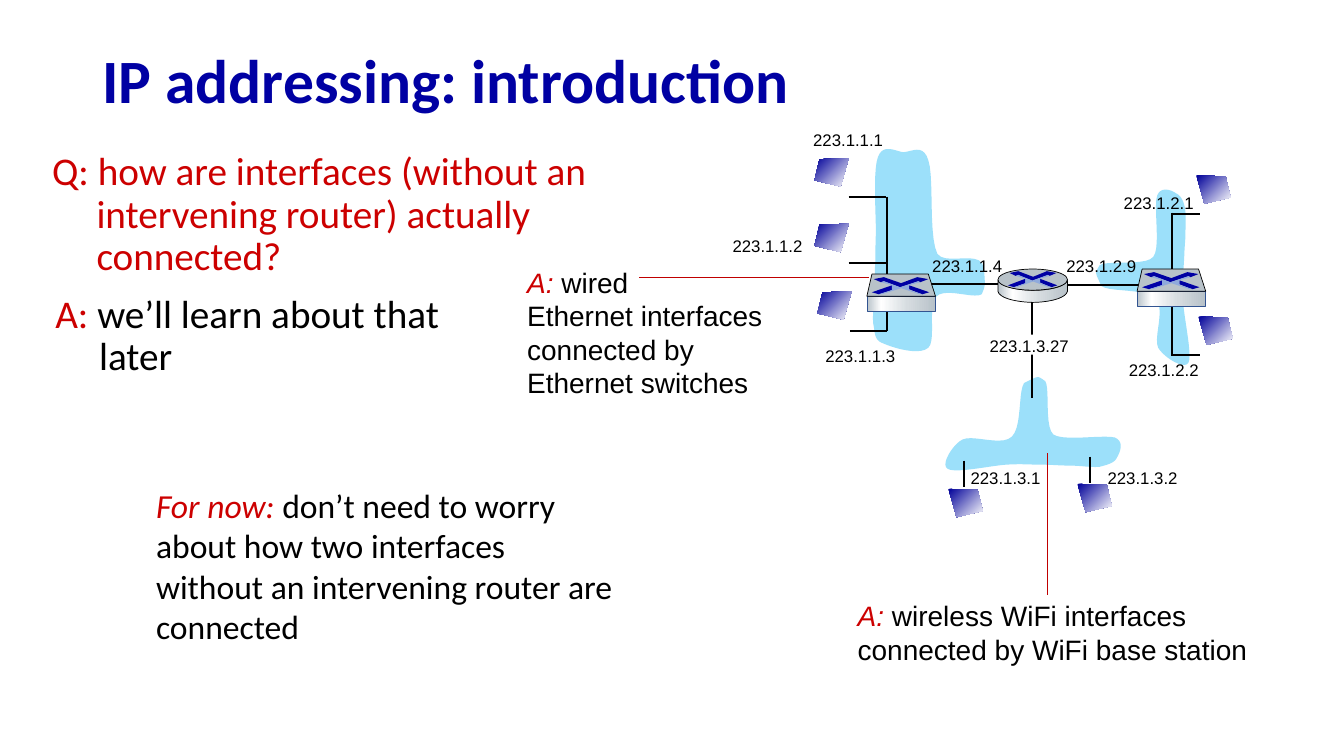
from dataclasses import dataclass
from typing import Any, Optional

import pptx
import pptx.dml.color
import pptx.enum.shapes
import pptx.enum.text
import pptx.oxml
import pptx.oxml.ns
import pptx.util

Pt = pptx.util.Pt
Shapes = pptx.enum.shapes.MSO_SHAPE
Point = tuple[float, float]

COLORS = {"title": "0000A3", "accent": "CC0000", "callout": "C00000", "ink": "000000",
          "paper": "FFFFFF", "cloud": "9CE0FA", "metal": "B8C2C9", "edge": "325491",
          "arrow": "0000A3", "left arrow": "0000A8", "inlay": "8FAADC"}
HOST_STOPS = [(0, "000099"), (100, "FFFFFF")]
METAL_STOPS = [(0, "B8C2C9"), (21, "FFFFFF"), (60, "D6DCE0"), (100, "B8C2C9")]


@dataclass
class Wire:
    start: Point
    end: Point
    color: str = "ink"
    width: float = 1.5


@dataclass
class Label:
    text: str
    left: float
    top: float
    width: float = 64.8
    plate: Optional[tuple[float, float, float, float]] = None


@dataclass
class Note:
    """A text box; each paragraph is a list of (text, color, italic) spans."""
    left: float
    top: float
    width: float
    height: float
    font: str
    size: float
    paragraphs: list[list[tuple[str, str, bool]]]
    hanging: float = 0


@dataclass
class Host:
    left: float
    top: float
    mirrored: bool = False


# Outlines: a start point, then lines (2 numbers) or cubic curves (6 numbers).
CLOUDS = [
    [(731.5, 273.6), (727.2, 280.1, 730.1, 304.6, 722.9, 311.8),
     (715.7, 319, 695.5, 310.3, 687.6, 313.9), (680.4, 317.5, 671.8, 331.9, 676.8, 334.8),
     (681.8, 338.4, 707.8, 332.6, 718.6, 331.9), (729.4, 331.2, 735.1, 331.9, 743, 331.9),
     (751, 331.9, 758.2, 332.6, 765.4, 332.6), (771.8, 332.6, 780.5, 334.1, 785.5, 333.4),
     (791.3, 331.9, 796.3, 330.5, 797.8, 326.9), (799.9, 323.3, 803.5, 315.4, 796.3, 312.5),
     (788.4, 310.3, 758.9, 315.4, 752.4, 310.3), (745.9, 304.6, 750.2, 277.2, 746.6, 272.2),
     (740.9, 268.6, 743, 267.8, 731.5, 273.6)],
    [(787, 204.5), (793.4, 208.8, 817.9, 205.9, 825.1, 213.1),
     (833, 220.3, 823.7, 240.5, 827.3, 248.4), (831.6, 255.6, 846, 264.2, 848.9, 259.2),
     (851.8, 254.2, 846, 228.2, 845.3, 217.4), (844.6, 206.6, 845.3, 200.9, 845.3, 193),
     (846, 185, 846, 177.8, 846.7, 170.6), (846.7, 163.4, 847.4, 155.5, 846.7, 150.5),
     (846, 144.7, 843.8, 139.7, 840.2, 138.2), (837.4, 136.1, 829.4, 132.5, 826.6, 139.7),
     (823.7, 147.6, 829.4, 177.1, 823.7, 183.6), (818.6, 190.1, 790.6, 185.8, 785.5, 189.4),
     (782.6, 195.1, 781.2, 193, 787, 204.5)],
    [(702.7, 191.5), (701.3, 177.8, 676.1, 190.1, 669.6, 181.4),
     (663.1, 168.5, 667.4, 126.7, 663.1, 114.5), (659.5, 102.2, 650.9, 108.7, 645.1, 108.7),
     (639.4, 108, 630.7, 102.2, 627.1, 112.3), (623.5, 121.7, 625.7, 153.4, 625.7, 166.3),
     (625, 179.3, 625.7, 182.9, 625, 190.8), (625, 198.7, 624.2, 205.9, 624.2, 213.1),
     (624.2, 220.3, 622.8, 228.2, 624.2, 233.3), (625, 239, 625, 243.4, 631.4, 245.5),
     (637.9, 248.4, 656.6, 254.2, 663.1, 248.4), (668.9, 243.4, 662.4, 218.2, 668.9, 211.7),
     (675.4, 205.2, 695.5, 213.8, 701.3, 210.2), (703.4, 204.5, 704.2, 205.2, 702.7, 191.5)],
]
ROUTER_SIDE = [(762.5, 200.2), (762.5, 208.1), (761, 213.8, 746.6, 216, 738, 216),
               (729.4, 216, 714.2, 213.8, 712.8, 208.1), (712.8, 200.2),
               (715, 205.2, 729.4, 207.4, 738, 207.4), (745.9, 207.4, 760.3, 205.9, 762.5, 200.2)]
HOST_OUTLINE = [(0, 0), (20.9, 0.7), (24.5, 15.8), (5.8, 20.2)]
LID_OUTLINE = [(0, 15.8), (3.6, 0), (43.9, 0), (49, 15.8)]
CROSS_PARTS = [
    ("arrow", [(32.4, 0), (40.3, 1.4), (34.6, 3.6), (33.1, 2.9), (20.2, 7.2), (8.6, 2.9),
               (6.5, 3.6), (1.4, 1.4), (8.6, 0), (20.9, 4.3)]),
    ("arrow", [(26.6, 5.8), (41, 10.8), (36, 12.2), (26.6, 8.6)]),
    ("left arrow", [(14.4, 5.8), (14.4, 9.2), (5, 12.2), (0, 10.8)]),
    ("inlay", [(6.5, 3.6), (8.6, 2.9), (20.2, 7.2), (33.1, 2.9), (34.6, 3.6), (26.6, 5.8),
               (26.6, 9.2), (36, 12.2), (33.8, 12.2), (20.9, 7.9), (7.2, 12.2), (5, 12.2),
               (14.4, 9.2), (14.4, 5.8)]),
]

UPLINK = Wire((737.3, 215.3), (737.3, 284.4))
LABELS = [
    Label("223.1.1.1", 573.8, 89.3),
    Label("223.1.1.2", 516.2, 164.9, plate=(523.4, 170.6, 65.5, 14.4)),
    Label("223.1.1.3", 582.5, 243.4), Label("223.1.1.4", 658.8, 179.3),
    Label("223.1.2.9", 754.6, 179.3), Label("223.1.2.2", 799.2, 253.4),
    Label("223.1.2.1", 795.6, 133.9), Label("223.1.3.2", 784.1, 330.5),
    Label("223.1.3.1", 686.2, 330.5),
    Label("223.1.3.27", 699.8, 236.2, 72, plate=(704.2, 239, 67, 14.4)),
]
HOSTS = [Host(581.8, 113, True), Host(581.8, 159.8, True), Host(583.9, 208.1, True),
         Host(854.6, 125.3), Host(856.1, 226.1), Host(769.7, 345.6), Host(677.5, 349.2)]
WIRES = [
    Wire((606.2, 140.4), (632.9, 140.4)), Wire((606.2, 187.9), (632.9, 187.9)),
    Wire((607, 236.2), (633.6, 236.2)), Wire((836.6, 152.6), (857.5, 152.6)),
    Wire((837.4, 253.4), (857.5, 253.4)), Wire((688.3, 329), (688.3, 347.8)),
    Wire((778.3, 326.2), (778.3, 344.9)),
    Wire((620.6, 198), (456.5, 198), "callout", 0.75),
    Wire((748.1, 424.8), (748.1, 323.3), "callout", 1),
    Wire((658.8, 203), (721.4, 203)), Wire((751.7, 203.8), (828.7, 203.8)),
    Wire((633.6, 140.4), (633.6, 236.2)), Wire((837.4, 151.9), (837.4, 254.2)),
]
SWITCHES = [(619.2, 195.8), (812.2, 192.2)]
NOTES = [
    Note(30.2, 105.1, 417.6, 132.5, "Calibri", 28, [[(
        "Q: how are interfaces (without an intervening router) actually connected?",
        "accent", False)]], 31.7),
    Note(369.4, 185.8, 200.9, 104.4, "Arial", 20, [
        [("A: ", "accent", True), ("wired", "ink", False)],
        [("Ethernet interfaces connected by Ethernet switches", "ink", False)]]),
    Note(605.5, 424.1, 328.3, 55.4, "Arial", 20, [[
        ("A: ", "accent", True),
        ("wireless WiFi interfaces connected by WiFi base station", "ink", False)]]),
    Note(104.4, 342.7, 340.6, 123.8, "Calibri", 24, [[
        ("For now: ", "accent", True),
        ("don’t need to worry about how two interfaces without an intervening router are "
         "connected", "ink", False)]]),
    Note(32.4, 206.6, 294.5, 84.2, "Calibri", 28, [[
        ("A: ", "accent", False), ("we’ll learn about that later", "ink", False)]], 31.3),
]


def rgb(name: str) -> pptx.dml.color.RGBColor:
    return pptx.dml.color.RGBColor.from_string(COLORS[name])


def style(shape: Any, fill: str, line: Optional[str] = None) -> Any:
    shape.shadow.inherit = False
    shape.fill.solid()
    shape.fill.fore_color.rgb = rgb(fill)
    if line:
        shape.line.color.rgb = rgb(line)
        shape.line.width = Pt(0.5)
    else:
        shape.line.fill.background()
    return shape


def shade(shape: Any, stops: list[tuple[int, str]], angle: float) -> None:
    """Fill with a linear gradient; the angle runs counter-clockwise."""
    shape.fill.gradient()
    shape.fill.gradient_angle = angle
    stop_list = shape._element.spPr.find(".//" + pptx.oxml.ns.qn("a:gsLst"))
    for old in list(stop_list):
        stop_list.remove(old)
    for position, color in stops:
        stop_list.append(pptx.oxml.parse_xml(
            f'<a:gs {pptx.oxml.ns.nsdecls("a")} pos="{position * 1000}">'
            f'<a:srgbClr val="{color}"/></a:gs>'))


def flatten(outline: list[tuple], steps: int = 10) -> list[Point]:
    """Turn cubic curves into short straight pieces."""
    points = [outline[0]]
    for segment in outline[1:]:
        if len(segment) == 2:
            points.append(segment)
            continue
        controls = [points[-1], segment[:2], segment[2:4], segment[4:]]
        for step in range(1, steps + 1):
            t = step / steps
            weights = ((1 - t) ** 3, 3 * t * (1 - t) ** 2, 3 * t * t * (1 - t), t ** 3)
            points.append(tuple(sum(w * c[axis] for w, c in zip(weights, controls))
                                for axis in (0, 1)))
    return points


def add_outline(page: Any, outline: list[tuple], fill: str, line: Optional[str] = None,
                origin: Point = (0, 0), scale: Point = (1, 1)) -> Any:
    points = [(Pt(origin[0] + x * scale[0]), Pt(origin[1] + y * scale[1]))
              for x, y in flatten(outline)]
    builder = page.shapes.build_freeform(*points[0], scale=1.0)
    builder.add_line_segments(points[1:], close=True)
    return style(builder.convert_to_shape(), fill, line)


def add_wire(page: Any, wire: Wire) -> None:
    ends = [Pt(value) for value in (*wire.start, *wire.end)]
    connector = page.shapes.add_connector(pptx.enum.shapes.MSO_CONNECTOR.STRAIGHT, *ends)
    connector.line.color.rgb = rgb(wire.color)
    connector.line.width = Pt(wire.width)
    connector._element.spPr.append(
        pptx.oxml.parse_xml(f'<a:effectLst {pptx.oxml.ns.nsdecls("a")}/>'))


def add_preset(page: Any, kind: Any, frame: tuple, fill: str, line: Optional[str] = None) -> Any:
    return style(page.shapes.add_shape(kind, *map(Pt, frame)), fill, line)


def add_label(page: Any, label: Label) -> None:
    if label.plate:
        add_preset(page, Shapes.RECTANGLE, label.plate, "paper")
    box = page.shapes.add_textbox(Pt(label.left), Pt(label.top), Pt(label.width), Pt(21.6))
    box.text_frame.word_wrap = False
    para = box.text_frame.paragraphs[0]
    para.text = label.text
    para.font.name, para.font.size = "Arial", Pt(12)
    para.font.color.rgb = rgb("ink")


def add_note(page: Any, note: Note) -> None:
    box = page.shapes.add_textbox(Pt(note.left), Pt(note.top), Pt(note.width), Pt(note.height))
    frame = box.text_frame
    frame.word_wrap = True
    for index, spans in enumerate(note.paragraphs):
        para = frame.add_paragraph() if index else frame.paragraphs[0]
        if note.hanging:
            properties = para._p.get_or_add_pPr()
            properties.set("marL", str(Pt(note.hanging)))
            properties.set("indent", str(-Pt(note.hanging)))
            para.line_spacing = 0.9
        para.font.name, para.font.size = note.font, Pt(note.size)
        for text, color, italic in spans:
            span = para.add_run()
            span.text = text
            span.font.color.rgb = rgb(color)
            span.font.italic = italic


def add_host(page: Any, host: Host) -> None:
    origin = (host.left + 24.5 * host.mirrored, host.top)
    scale = (-1 if host.mirrored else 1, 1)
    shade(add_outline(page, HOST_OUTLINE, "paper", origin=origin, scale=scale), HOST_STOPS, 315)


def add_cross(page: Any, origin: Point, scale: Point = (1, 1)) -> None:
    for fill, outline in CROSS_PARTS:
        add_outline(page, outline, fill, origin=origin, scale=scale)


def add_router(page: Any) -> None:
    shade(add_outline(page, ROUTER_SIDE, "metal", "ink"), METAL_STOPS, 0)
    add_preset(page, Shapes.OVAL, (712.8, 192.2, 49.7, 15.1), "metal", "ink")
    add_cross(page, (720, 193.7), (0.86, 0.94))


def add_switch(page: Any, left: float, top: float) -> None:
    front = add_preset(page, Shapes.RECTANGLE, (left, top + 15.8, 48.6, 10.8), "metal", "edge")
    shade(front, METAL_STOPS, 0)
    add_outline(page, LID_OUTLINE, "metal", "ink", origin=(left, top))
    add_cross(page, (left + 3.6, top + 2.2))


def add_title(page: Any, text: str) -> None:
    title = page.shapes.title
    title.left, title.top, title.width, title.height = Pt(66), Pt(24.5), Pt(828), Pt(70.6)
    title.text_frame.vertical_anchor = pptx.enum.text.MSO_ANCHOR.MIDDLE
    para = title.text_frame.paragraphs[0]
    para.text = text
    para.alignment = pptx.enum.text.PP_ALIGN.LEFT
    para.line_spacing = 0.9
    para.font.name, para.font.size, para.font.bold = "Calibri", Pt(44), True
    para.font.color.rgb = rgb("title")


def main() -> None:
    deck = pptx.Presentation()
    deck.slide_width, deck.slide_height = Pt(960), Pt(540)
    page = deck.slides.add_slide(deck.slide_layouts[5])
    add_title(page, "IP addressing: introduction")
    for cloud in CLOUDS:
        add_outline(page, cloud, "cloud")
    add_wire(page, UPLINK)
    for label in LABELS:
        add_label(page, label)
    for host in HOSTS:
        add_host(page, host)
    for note in NOTES:
        add_note(page, note)
    for wire in WIRES:
        add_wire(page, wire)
    add_router(page)
    for left, top in SWITCHES:
        add_switch(page, left, top)
    deck.save("out.pptx")


if __name__ == "__main__":
    main()
